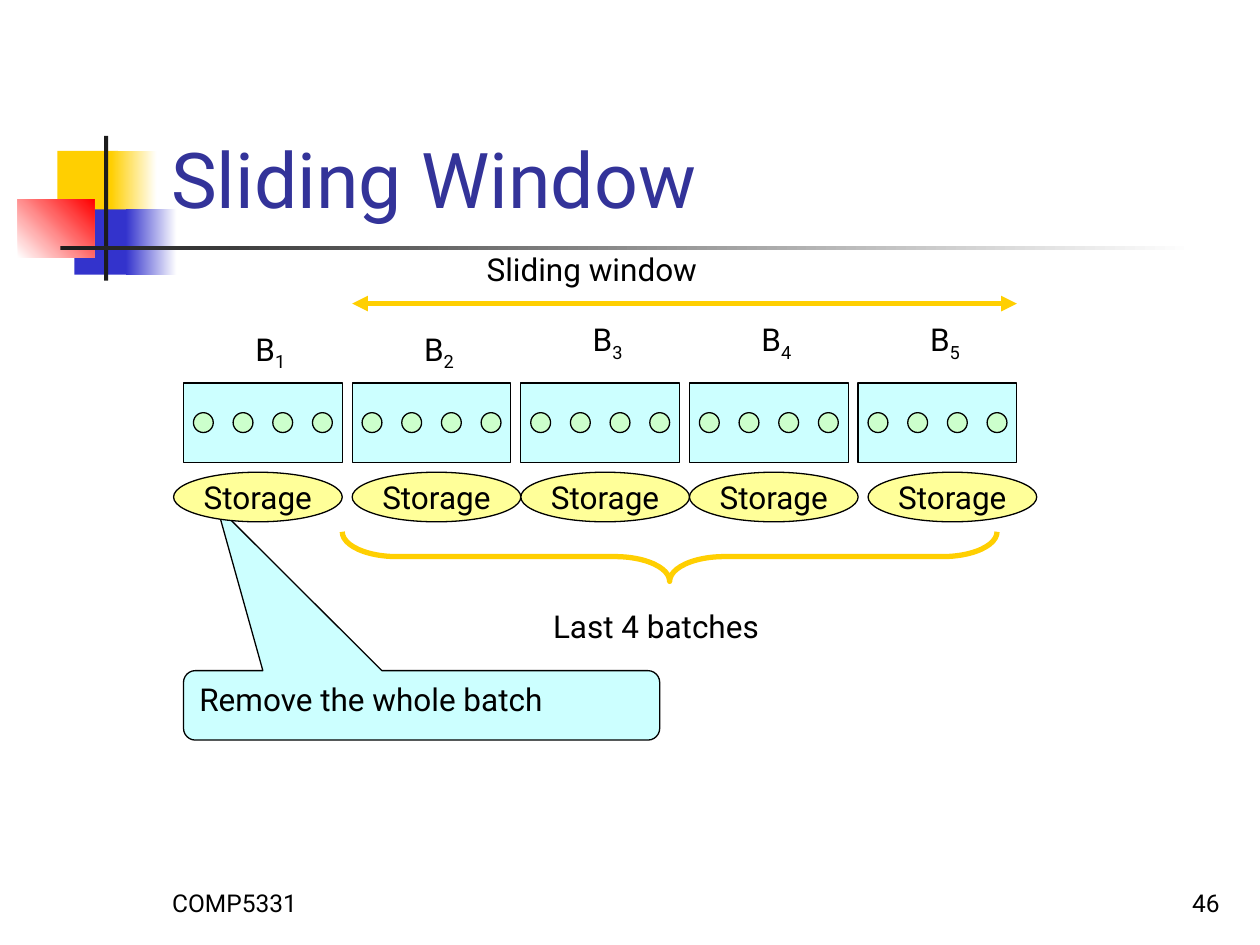
from dataclasses import dataclass
from pptx import Presentation
from pptx.dml.color import RGBColor
from pptx.enum.shapes import MSO_CONNECTOR, MSO_SHAPE
from pptx.enum.text import MSO_ANCHOR, MSO_AUTO_SIZE, PP_ALIGN
from pptx.oxml.ns import qn
from pptx.util import Inches, Mm, Pt
from lxml.etree import SubElement


@dataclass
class Theme:
    font: str = "Roboto"
    ink: str = "000000"
    title: str = "333399"
    gold: str = "FFCF01"
    blue: str = "3333CC"
    red: str = "FF0000"
    dark: str = "1C1C1C"
    white: str = "FFFFFF"
    batch: str = "CCFFFF"
    dot: str = "CCFFCC"
    store: str = "FFFF99"
    big: int = 44
    mid: int = 18
    small: int = 14


look = Theme()
rgb = RGBColor.from_string
deck = Presentation()
deck.slide_width, deck.slide_height = Inches(10), Inches(7.5)
slide = deck.slides.add_slide(deck.slide_layouts[5])
shapes = slide.shapes


# Every length is a count of 2 mm grid cells
def cells(*counts):
    return [Mm(2 * n) for n in counts]


def draw(kind, box, fill=None, line=look.ink, width=0.75):
    shape = shapes.add_shape(kind, *cells(*box))
    shape.shadow.inherit = False
    if fill is None:
        shape.fill.background()
    elif isinstance(fill, str):
        shape.fill.solid()
        shape.fill.fore_color.rgb = rgb(fill)
    else:
        start, end, angle = fill
        shape.fill.gradient()
        shape.fill.gradient_angle = angle
        for stop, tint in zip(shape.fill.gradient_stops, (start, end)):
            stop.color.rgb = rgb(tint)
    if line:
        shape.line.color.rgb = rgb(line)
        shape.line.width = Pt(width)
    else:
        shape.line.fill.background()
    return shape


def write(shape, text, size=look.mid, tint=look.ink, align=PP_ALIGN.LEFT,
          anchor=MSO_ANCHOR.TOP, wrap=True, sub=""):
    frame = shape.text_frame
    frame.text = text
    frame.auto_size = MSO_AUTO_SIZE.NONE
    frame.word_wrap = wrap
    frame.vertical_anchor = anchor
    para = frame.paragraphs[0]
    para.alignment = align
    if sub:
        low = para.add_run()
        low.text = sub
        low.font._element.set("baseline", "-25000")
    for run in para.runs:
        run.font.name = look.font
        run.font.size = Pt(size)
        run.font.color.rgb = rgb(tint)


# Corner ornament and title rule
for box, fill in (
    ((5.8, 15.2, 6.1, 6.6), look.gold),
    ((11.2, 15.2, 4.6, 6.6), (look.gold, look.white, 0)),
    ((7.5, 21.1, 5.8, 6.6), look.blue),
    ((12.7, 21.1, 5.1, 6.6), (look.blue, look.white, 0)),
    ((1.8, 20.1, 7.7, 5.9), (look.white, look.red, 45)),
    ((10.5, 13.7, 0.4, 14.6), look.dark),
    ((6.1, 24.8, 114.3, 0.4), (look.dark, look.white, 0)),
):
    draw(MSO_SHAPE.RECTANGLE, box, fill, line=None)

# Title
head = shapes.title
head.left, head.top, head.width, head.height = cells(16, 2.9, 108.2, 20.3)
write(head, "Sliding Window", look.big, look.title, anchor=MSO_ANCHOR.BOTTOM)

# Footer
for left, text, align in ((16.1, "COMP5331", PP_ALIGN.LEFT),
                          (97.8, "46", PP_ALIGN.RIGHT)):
    foot = shapes.add_textbox(*cells(left, 86.7, 26.4, 6.4))
    write(foot, text, look.small, align=align, anchor=MSO_ANCHOR.BOTTOM)

# Batches: one column each, four dots inside
x0, y0, step, wide, tall = 18.5, 38.6, 17, 16, 8
for n in range(5):
    x = x0 + n * step
    draw(MSO_SHAPE.RECTANGLE, (x, y0, wide, tall), look.batch)
    for k in range(4):
        draw(MSO_SHAPE.OVAL, (x + 1 + 4 * k, y0 + 3, 2, 2), look.dot)
    rise = 6 if n < 2 else 7
    label = shapes.add_textbox(*cells(x + 6, y0 - rise, 5.6, 5.6))
    write(label, "B", wrap=False, sub=str(n + 1))

# Window arrow
y = y0 - 8
arrow = shapes.add_connector(
    MSO_CONNECTOR.STRAIGHT, *cells(x0 + step, y, x0 + 4 * step + wide, y))
arrow.line.color.rgb = rgb(look.gold)
arrow.line.width = Pt(3)
for end in ("a:headEnd", "a:tailEnd"):
    SubElement(arrow.line._get_or_add_ln(), qn(end), type="triangle")
SubElement(arrow._element.spPr, qn("a:effectLst"))
name = shapes.add_textbox(*cells(47.8, 24.6, 25, 5.1))
write(name, "Sliding window", wrap=False)

# Brace under the last four batches, turned to point down
brace = draw(MSO_SHAPE.LEFT_BRACE, (65, y0 - 15.5, 5, 66),
             line=look.gold, width=3)
brace.rotation = 270
brace.adjustments[0] = 1.1
note = shapes.add_textbox(*cells(54.5, 60.6, 24, 5.1))
write(note, "Last 4 batches")

# Callout, then the storage ovals that cover its tip
call = draw(MSO_SHAPE.ROUNDED_RECTANGULAR_CALLOUT,
            (x0, y0 + 29, 48, 7), look.batch)
for i, value in enumerate((-0.43, -2.87, 0.17)):
    call.adjustments[i] = value
write(call, "Remove the whole batch")

for n, shift in enumerate((-1, 0, 0, 0, 1)):
    oval = draw(MSO_SHAPE.OVAL,
                (x0 + n * step + shift, y0 + 9, step, 5), look.store)
    write(oval, "Storage", align=PP_ALIGN.CENTER,
          anchor=MSO_ANCHOR.MIDDLE, wrap=False)

deck.save("out.pptx")
